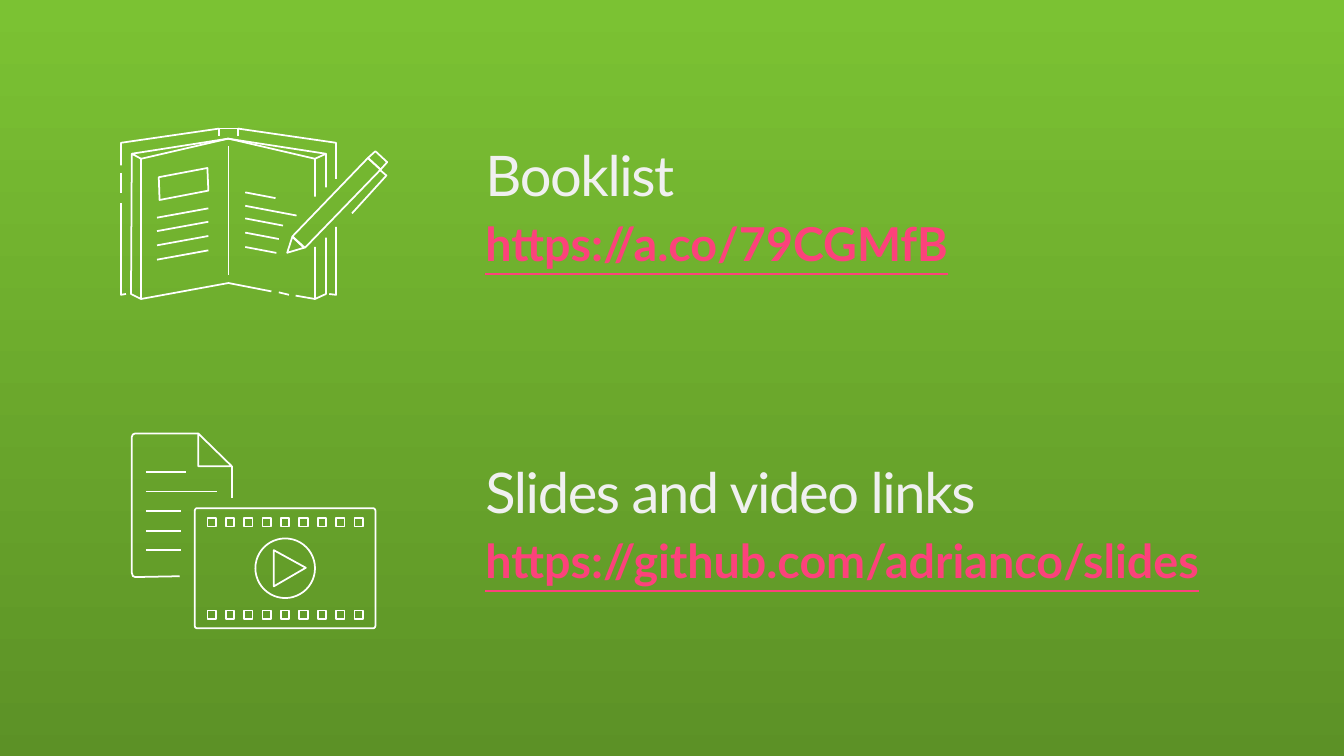
import pptx
import pptx.util
import pptx.dml.color
import pptx.enum.shapes
import pptx.enum.text
import pptx.oxml.ns
import lxml.etree

Pt = pptx.util.Pt
Kind = pptx.enum.shapes.MSO_SHAPE
COLORS = {
    "backdrop": "282828",
    "green_top": "7BC233",
    "green_bottom": "5C9126",
    "heading": "F0F0F0",
    "link": "FC427B",
    "stroke": "FFFFFF",
}


def rgb(name):
    return pptx.dml.color.RGBColor.from_string(COLORS[name])


class Board:
    """Slide style and the current slide; all lengths are points."""

    font = "Lato"
    stroke_width = 1.5

    def __init__(self, slide):
        self.slide = slide
        self.shapes = slide.shapes
        slide.background.fill.solid()
        slide.background.fill.fore_color.rgb = rgb("backdrop")

    def start_group(self):
        self.shapes = self.slide.shapes.add_group_shape().shapes

    def gradient(self, left, top, width, height):
        panel = self.shapes.add_shape(
            Kind.RECTANGLE, Pt(left), Pt(top), Pt(width), Pt(height))
        panel.shadow.inherit = False
        panel.line.fill.background()
        panel.fill.gradient()
        panel.fill.gradient_angle = 270
        for stop, name in zip(panel.fill.gradient_stops, ("green_top", "green_bottom")):
            stop.color.rgb = rgb(name)

    def text(self, words, left, top, size, color, spacing=None, link=False):
        frame = self.shapes.add_textbox(Pt(left), Pt(top), Pt(700), Pt(55.4)).text_frame
        frame.word_wrap = True
        frame.vertical_anchor = pptx.enum.text.MSO_ANCHOR.TOP
        paragraph = frame.paragraphs[0]
        paragraph.line_spacing = 0.9
        run = paragraph.add_run()
        run.text = words
        run.font.name = self.font
        run.font.size = Pt(size)
        run.font.color.rgb = rgb(color)
        run.font.bold = run.font.underline = link
        if spacing:
            run.font._element.set("spc", str(round(spacing * 100)))

    def ink(self, line):
        line.color.rgb = rgb("stroke")
        line.width = Pt(self.stroke_width)

    def outline(self, shape):
        shape.shadow.inherit = False
        shape.fill.background()
        self.ink(shape.line)

    def path_of(self, points, close=False):
        corners = [(Pt(x), Pt(y)) for x, y in points]
        builder = self.shapes.build_freeform(*corners[0], scale=1.0)
        builder.add_line_segments(corners[1:], close=close)
        self.outline(builder.convert_to_shape())

    def preset(self, kind, left, top, width, height, rounding=None):
        shape = self.shapes.add_shape(kind, Pt(left), Pt(top), Pt(width), Pt(height))
        if rounding is not None:
            shape.adjustments[0] = rounding
        self.outline(shape)

    def line(self, x1, y1, x2, y2):
        stroke = self.shapes.add_connector(
            pptx.enum.shapes.MSO_CONNECTOR.STRAIGHT, Pt(x1), Pt(y1), Pt(x2), Pt(y2))
        self.ink(stroke.line)
        lxml.etree.SubElement(
            stroke._element.spPr, pptx.oxml.ns.qn("a:effectLst"))


def draw_links(board):
    entries = [
        (123.8, "Booklist", "https://a.co/79CGMfB"),
        (395.3, "Slides and video links", "https://github.com/adrianco/slides"),
    ]
    for top, heading, address in entries:
        board.start_group()
        board.text(heading, 409, top, 48, "heading", spacing=-1.2)
        board.text(address, 409, top + 62.7, 40, "link", link=True)


def draw_book(board):
    board.start_group()
    # Pencil and the picture on the left page
    tip = [(246.2, 216.7), (260.6, 212.4), (250.6, 203)]
    barrel = [(250.6, 202.7), (261.4, 212.4), (326.2, 145.4), (315.4, 135.4)]
    eraser = [(315.4, 135.4), (321.8, 129.6), (331.9, 139), (326.2, 145.4)]
    page_picture = [(136.8, 171.4), (178.6, 163.4), (177.8, 144), (136.1, 151.9)]
    for part in (tip, barrel, eraser, page_picture):
        board.path_of(part, close=True)

    # Pencil clip, cover and page edges
    clip = [(325.4, 145.4), (331.2, 150.5), (301.7, 182.9)]
    cover = [
        [(103.7, 174.2), (103.7, 252.7), (108, 252)],
        [(187.9, 110.2), (103.7, 122.4), (103.7, 141.8)],
        [(288, 153.4), (288, 122.4), (203.8, 110.2)],
        [(282.2, 252), (288, 252.7), (288, 194.4)],
        [(203.8, 116.6), (203.8, 110.2), (187.9, 110.2), (187.9, 116.6)],
    ]
    pages = [
        [(121, 256.3), (195.8, 242.6), (232.6, 249.8)],
        [(195.8, 118.8), (113, 131.8), (121, 136.1), (121, 256.3),
         (112.3, 252), (113, 131.8)],
        [(270, 168.5), (270, 136.1), (279.4, 131.8), (279.4, 160.6)],
        [(279.4, 203.8), (279.4, 252), (270, 256.3), (270, 211.7)],
    ]
    for part in [clip] + cover + pages:
        board.path_of(part)

    # Straight edges, dashes and the spine
    for edge in [
        (103.7, 148.3, 103.7, 165.6),
        (253.4, 253.4, 270, 256.3),
        (239, 250.6, 247.7, 252.7),
        (270, 136.1, 195.8, 118.8),
        (195.8, 118.8, 121, 136.1),
        (279.4, 131.8, 195.1, 118.8),
        (195.8, 125.3, 195.8, 235.4),
    ]:
        board.line(*edge)

    # Lines of writing
    for y in (178.6, 190.1, 202.3, 214.6):
        board.line(178.6, y, 134.6, y + 8)
    for y, length in [(164.9, 26), (176.4, 44), (187.2, 32.4), (199.4, 28.8), (211.7, 26.7)]:
        board.line(210.2, y, 210.2 + length, y + 0.19 * length)


def draw_document_and_film(board):
    board.start_group()
    # Document
    board.path_of([(169.9, 371.5), (115.9, 371.5), (113.9, 372.4), (113, 374.4),
                   (113, 491), (113.9, 493.7), (115.9, 494.6), (154.1, 493.9)])
    board.path_of([(169.9, 399.6), (198.7, 399.6), (169.9, 371.5)], close=True)
    board.line(198.7, 427, 198.7, 399.6)
    for row, right in enumerate((159.8, 185.8, 154.8, 154.8, 154.8)):
        y = 404.6 + 16.75 * row
        board.line(125, y, right, y)

    # Film frame with play button
    board.preset(Kind.ROUNDED_RECTANGLE, 167, 435.6, 154.8, 103, rounding=0.02)
    board.preset(Kind.OVAL, 218.9, 461.5, 51.1, 51.1)
    board.path_of([(234.7, 502.6), (234.7, 471.6), (262.1, 486.7)], close=True)
    for top in (523.4, 444.2):
        for hole in range(9):
            board.preset(Kind.RECTANGLE, 177.8 + 15.75 * hole, top, 7.2, 7.2)


def main():
    deck = pptx.Presentation()
    deck.slide_width, deck.slide_height = Pt(1152), Pt(648)
    board = Board(deck.slides.add_slide(deck.slide_layouts[6]))
    board.gradient(0, 0, 1152, 657.4)
    draw_links(board)
    draw_book(board)
    draw_document_and_film(board)
    deck.save("out.pptx")


if __name__ == "__main__":
    main()
